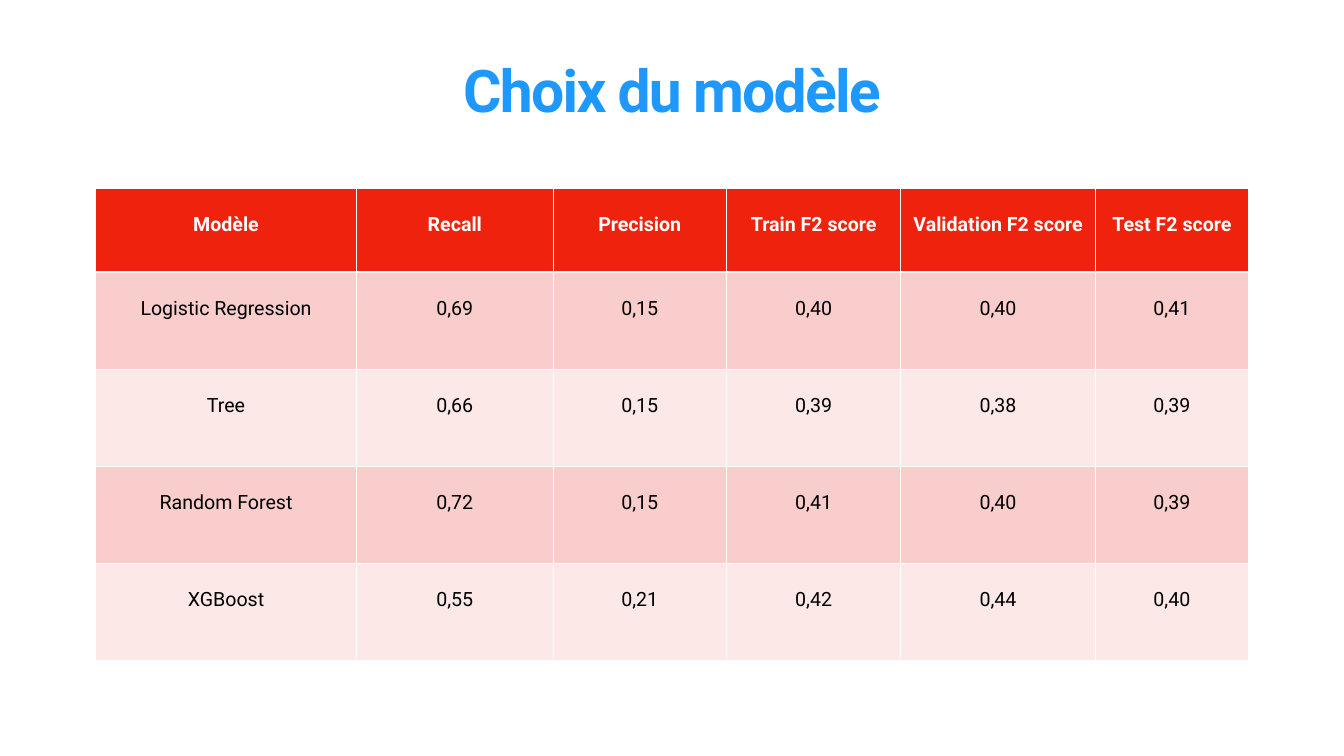
import pptx
import pptx.dml.color
import pptx.enum.text
import pptx.oxml
import pptx.oxml.ns
import pptx.util
from pptx.util import Inches

RGBColor = pptx.dml.color.RGBColor
BLUE = RGBColor(0x1E, 0x98, 0xFD)
RED = RGBColor(0xEE, 0x22, 0x0D)
ROSE = RGBColor(0xF8, 0xCD, 0xCC)
PALE_ROSE = RGBColor(0xFC, 0xE8, 0xE7)
WHITE = RGBColor(0xFF, 0xFF, 0xFF)
BLACK = RGBColor(0, 0, 0)

SCORES = [
    ["Modèle", "Recall", "Precision", "Train F2 score", "Validation F2 score", "Test F2 score"],
    ["Logistic Regression", "0,69", "0,15", "0,40", "0,40", "0,41"],
    ["Tree", "0,66", "0,15", "0,39", "0,38", "0,39"],
    ["Random Forest", "0,72", "0,15", "0,41", "0,40", "0,39"],
    ["XGBoost", "0,55", "0,21", "0,42", "0,44", "0,40"],
]
COLUMN_WIDTHS = [5.19, 3.89, 3.45, 3.45, 3.87, 3.03]
HEADER_HEIGHT, ROW_HEIGHT = 1.65, 1.93


class SlideBuilder:
    font_name = "Roboto"

    def __init__(self, slide):
        self.slide = slide

    def centered_text(self, frame, text, size, color, bold):
        paragraph = frame.paragraphs[0]
        paragraph.text = text
        paragraph.alignment = pptx.enum.text.PP_ALIGN.CENTER
        font = paragraph.font
        font.name, font.size, font.bold = self.font_name, pptx.util.Pt(size), bold
        font.color.rgb = color
        return paragraph

    def title(self, text, left, top, width, height):
        box = self.slide.shapes.add_textbox(
            Inches(left), Inches(top), Inches(width), Inches(height))
        frame = box.text_frame
        frame.word_wrap = True
        frame.vertical_anchor = pptx.enum.text.MSO_ANCHOR.BOTTOM
        frame.margin_left = frame.margin_right = Inches(0.06)
        frame.margin_top = frame.margin_bottom = Inches(0.06)
        heading = self.centered_text(frame, text, 84, BLUE, True)
        heading.line_spacing = 0.8
        heading.runs[0]._r.get_or_add_rPr().set("spc", "-250")

    def border(self, cell, top, bottom):
        """Draw white cell edges; top and bottom are widths in points."""
        properties = cell._tc.get_or_add_tcPr()
        for side, width in (("L", 1), ("R", 1), ("T", top), ("B", bottom)):
            properties.append(pptx.oxml.parse_xml(
                f'<a:ln{side} {pptx.oxml.ns.nsdecls("a")} w="{pptx.util.Pt(width)}">'
                f'<a:solidFill><a:srgbClr val="{WHITE}"/></a:solidFill></a:ln{side}>'))

    def table(self, rows, widths, heights, left, top):
        table = self.slide.shapes.add_table(
            len(rows), len(widths), Inches(left), Inches(top),
            Inches(sum(widths)), Inches(sum(heights))).table
        table.first_row = table.horz_banding = False
        for column, width in zip(table.columns, widths):
            column.width = Inches(width)
        for index, (values, height) in enumerate(zip(rows, heights)):
            table.rows[index].height = Inches(height)
            header = index == 0
            fill = RED if header else (ROSE if index % 2 else PALE_ROSE)
            color = WHITE if header else BLACK
            for cell, value in zip(table.rows[index].cells, values):
                self.border(cell, 3 if index == 1 else 1, 3 if header else 1)
                cell.fill.solid()
                cell.fill.fore_color.rgb = fill
                cell.margin_top = Inches(0.5)
                self.centered_text(cell.text_frame, value, 28, color, header)


def main():
    deck = pptx.Presentation()
    deck.slide_width, deck.slide_height = Inches(26.67), Inches(15)
    builder = SlideBuilder(deck.slides.add_slide(deck.slide_layouts[6]))
    builder.title("Choix du modèle", 1.39, 0.82, 23.89, 1.7)
    heights = [HEADER_HEIGHT] + [ROW_HEIGHT] * (len(SCORES) - 1)
    builder.table(SCORES, COLUMN_WIDTHS, heights, 1.89, 3.74)
    deck.save("out.pptx")


if __name__ == "__main__":
    main()
